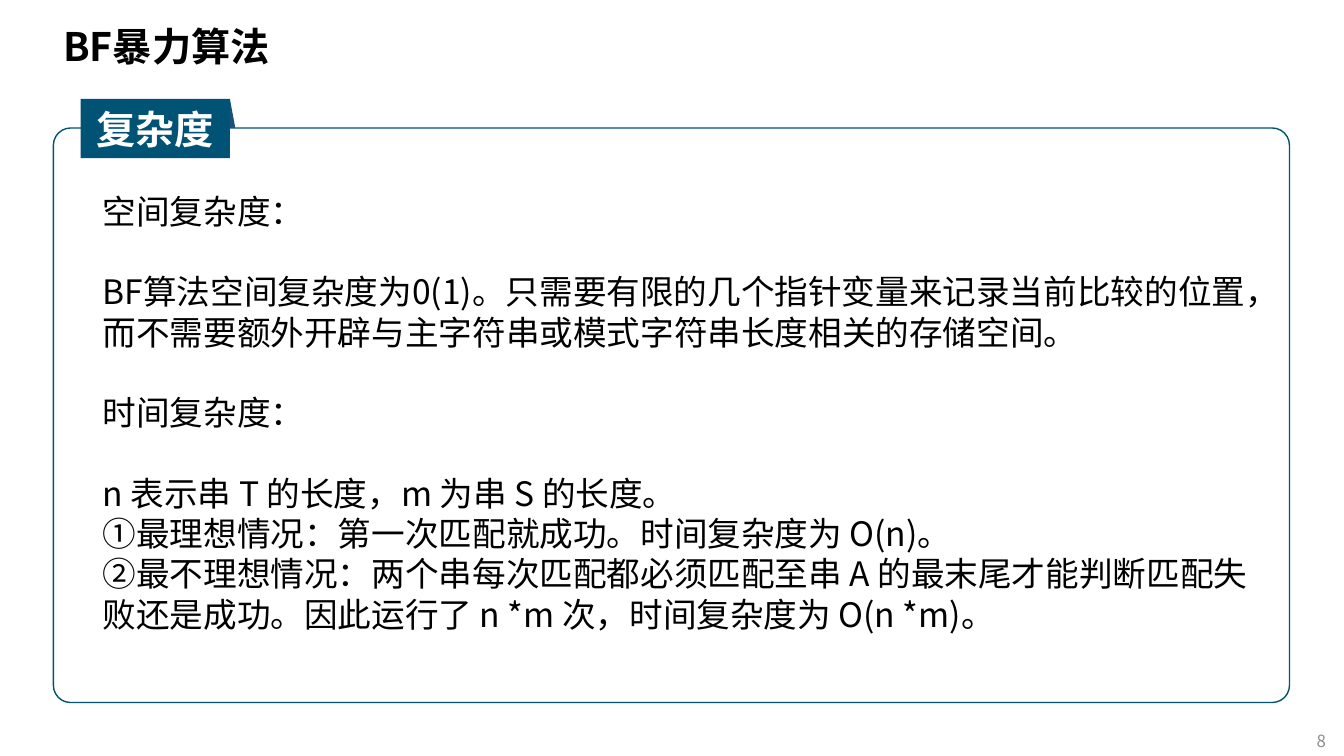
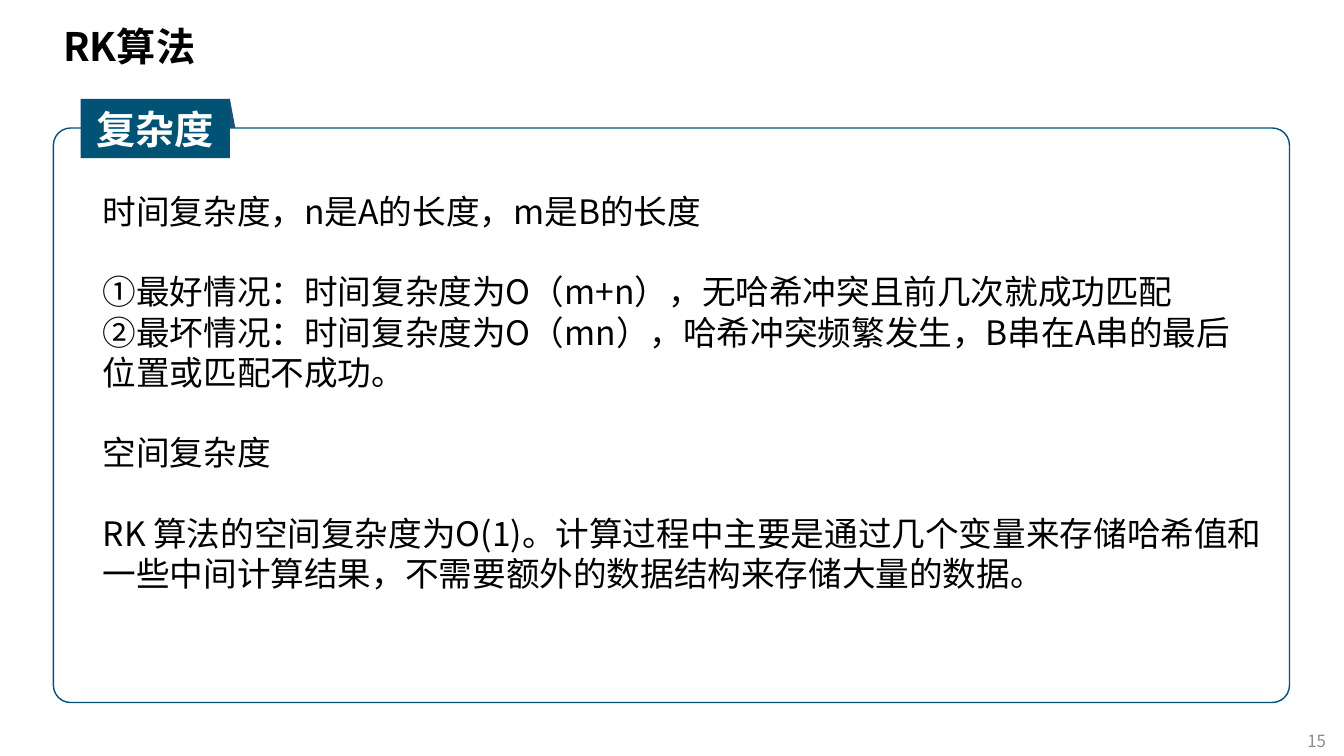
from dataclasses import dataclass

from lxml.etree import SubElement
from pptx import Presentation
from pptx.dml.color import RGBColor as Color
from pptx.enum.shapes import MSO_SHAPE as Kind
from pptx.enum.text import MSO_ANCHOR as Anchor, PP_ALIGN as Align
from pptx.oxml.ns import qn
from pptx.shapes.autoshape import Shape
from pptx.slide import Slide
from pptx.util import Inches, Pt


@dataclass(frozen=True)
class Theme:
    font: str = "Noto Sans CJK SC"
    ink: str = "000000"
    paper: str = "FFFFFF"
    teal: str = "005375"
    fold: str = "1F4E79"
    gray: str = "8C8C8C"
    head: float = 28
    body: float = 24
    foot: float = 12
    gap: float = 28.8


@dataclass(frozen=True)
class Box:
    left: float
    top: float
    width: float
    height: float

    def spans(self) -> tuple[int, ...]:
        return tuple(map(Inches, (self.left, self.top, self.width, self.height)))


@dataclass(frozen=True)
class Style:
    size: float
    color: str
    bold: bool = False
    align: Align = Align.LEFT
    anchor: Anchor = Anchor.MIDDLE
    line: float = 1.0


@dataclass(frozen=True)
class Page:
    title: str
    number: int
    blocks: tuple[tuple[str, ...], ...]


THEME = Theme()
TITLE = Style(THEME.head, THEME.ink, bold=True, line=0.9)
LABEL = Style(THEME.head, THEME.paper, bold=True, align=Align.CENTER)
BODY = Style(THEME.body, THEME.ink, anchor=Anchor.TOP)
FOOT = Style(THEME.foot, THEME.gray, align=Align.RIGHT)

TITLE_BOX = Box(0.53, 0.15, 12.26, 0.67)
FRAME_BOX = Box(0.53, 1.27, 12.26, 5.7)
LABEL_BOX = Box(0.8, 0.98, 1.48, 0.59)
FOLD_BOX = Box(LABEL_BOX.left + LABEL_BOX.width, LABEL_BOX.top, 0.11, LABEL_BOX.height)
BODY_BOX = Box(0.92, 1.84, 11.71, 4.95)
FOOT_BOX = Box(10.25, 7.19, 3, 0.31)

PAGES = (
    Page("BF暴力算法", 8, (
        ("空间复杂度：",),
        ("BF算法空间复杂度为0(1)。只需要有限的几个指针变量来记录当前比较的位置，"
         "而不需要额外开辟与主字符串或模式字符串长度相关的存储空间。",),
        ("时间复杂度：",),
        ("n 表示串 T 的长度，m 为串 S 的长度。",
         "①最理想情况：第一次匹配就成功。时间复杂度为 O(n)。",
         "②最不理想情况：两个串每次匹配都必须匹配至串 A 的最末尾才能判断匹配失败还是成功。"
         "因此运行了 n *m 次，时间复杂度为 O(n *m)。"),
    )),
    Page("RK算法", 15, (
        ("时间复杂度，n是A的长度，m是B的长度",),
        ("①最好情况：时间复杂度为O（m+n），无哈希冲突且前几次就成功匹配",
         "②最坏情况：时间复杂度为O（mn），哈希冲突频繁发生，B串在A串的最后位置或匹配不成功。"),
        ("空间复杂度",),
        ("RK 算法的空间复杂度为O(1)。计算过程中主要是通过几个变量来存储哈希值和一些中间计算结果，"
         "不需要额外的数据结构来存储大量的数据。",),
    )),
)


def write(shape: Shape, text: str, style: Style) -> None:
    frame = shape.text_frame
    frame.text = text
    frame.word_wrap = True
    frame.vertical_anchor = style.anchor
    for para in frame.paragraphs:
        para.alignment = style.align
        para.line_spacing = style.line
        for run in para.runs:
            font = run.font
            font.size = Pt(style.size)
            font.bold = style.bold
            font.color.rgb = Color.from_string(style.color)
            font.name = THEME.font
            SubElement(run._r.get_or_add_rPr(), qn("a:ea"), typeface=THEME.font)


def add_text(slide: Slide, box: Box, text: str, style: Style) -> Shape:
    shape = slide.shapes.add_textbox(*box.spans())
    write(shape, text, style)
    return shape


def add_form(slide: Slide, kind: Kind, box: Box, fill: str, edge: str = "") -> Shape:
    shape = slide.shapes.add_shape(kind, *box.spans())
    shape.shadow.inherit = False
    shape.fill.solid()
    shape.fill.fore_color.rgb = Color.from_string(fill)
    if edge:
        shape.line.color.rgb = Color.from_string(edge)
        shape.line.width = Pt(1)
    else:
        shape.line.fill.background()
    return shape


def add_body(slide: Slide, blocks: tuple[tuple[str, ...], ...]) -> None:
    lines = [line for block in blocks for line in block]
    shape = add_text(slide, BODY_BOX, "\n".join(lines), BODY)
    paras = shape.text_frame.paragraphs
    start = 0
    for block in blocks[:-1]:
        start += len(block)
        paras[start].space_before = Pt(THEME.gap)


def add_page(slide: Slide, page: Page) -> None:
    add_text(slide, TITLE_BOX, page.title, TITLE)
    add_form(slide, Kind.RIGHT_TRIANGLE, FOLD_BOX, THEME.fold)
    frame = add_form(slide, Kind.ROUNDED_RECTANGLE, FRAME_BOX, THEME.paper, THEME.teal)
    frame.adjustments[0] = 0.03
    label = add_form(slide, Kind.RECTANGLE, LABEL_BOX, THEME.teal)
    write(label, "复杂度", LABEL)
    add_text(slide, FOOT_BOX, str(page.number), FOOT)
    add_body(slide, page.blocks)


def main() -> None:
    deck = Presentation()
    deck.slide_width, deck.slide_height = Inches(13.33), Inches(7.5)
    blank = deck.slide_layouts[6]
    for page in PAGES:
        add_page(deck.slides.add_slide(blank), page)
    deck.save("out.pptx")


if __name__ == "__main__":
    main()
